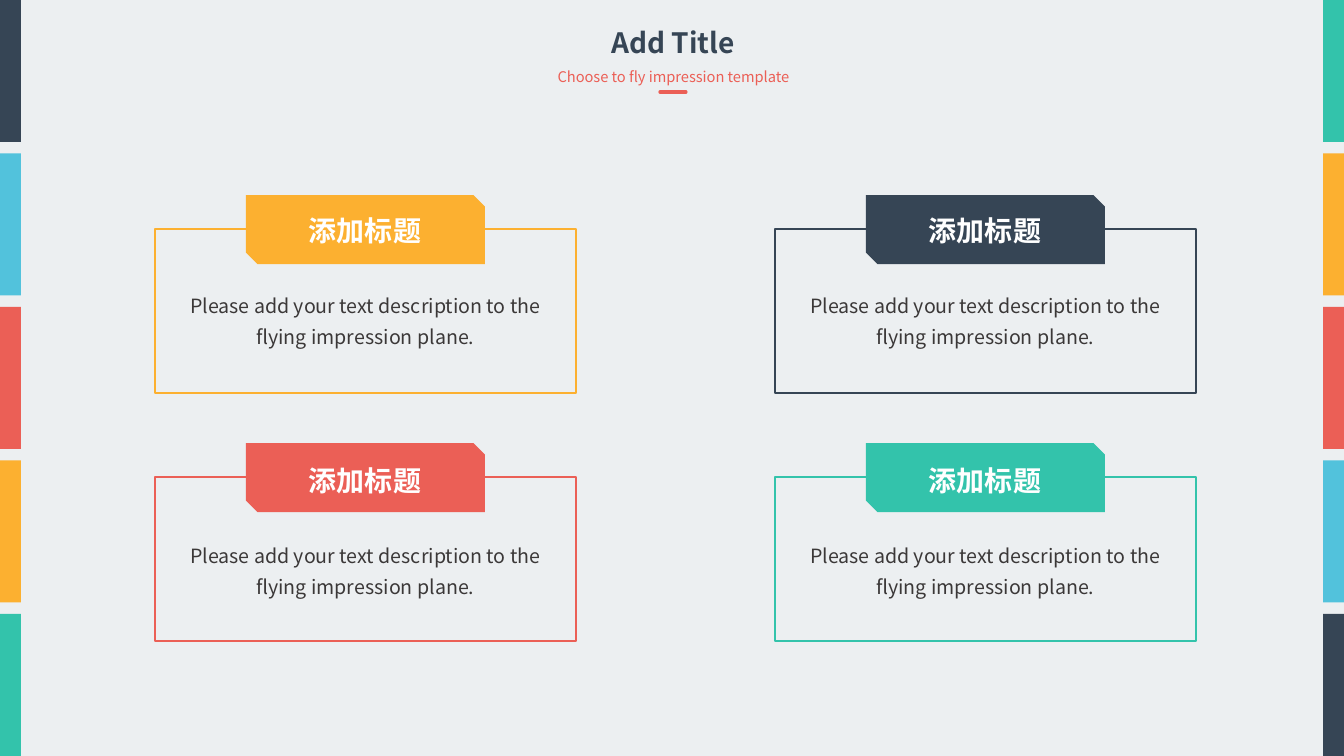
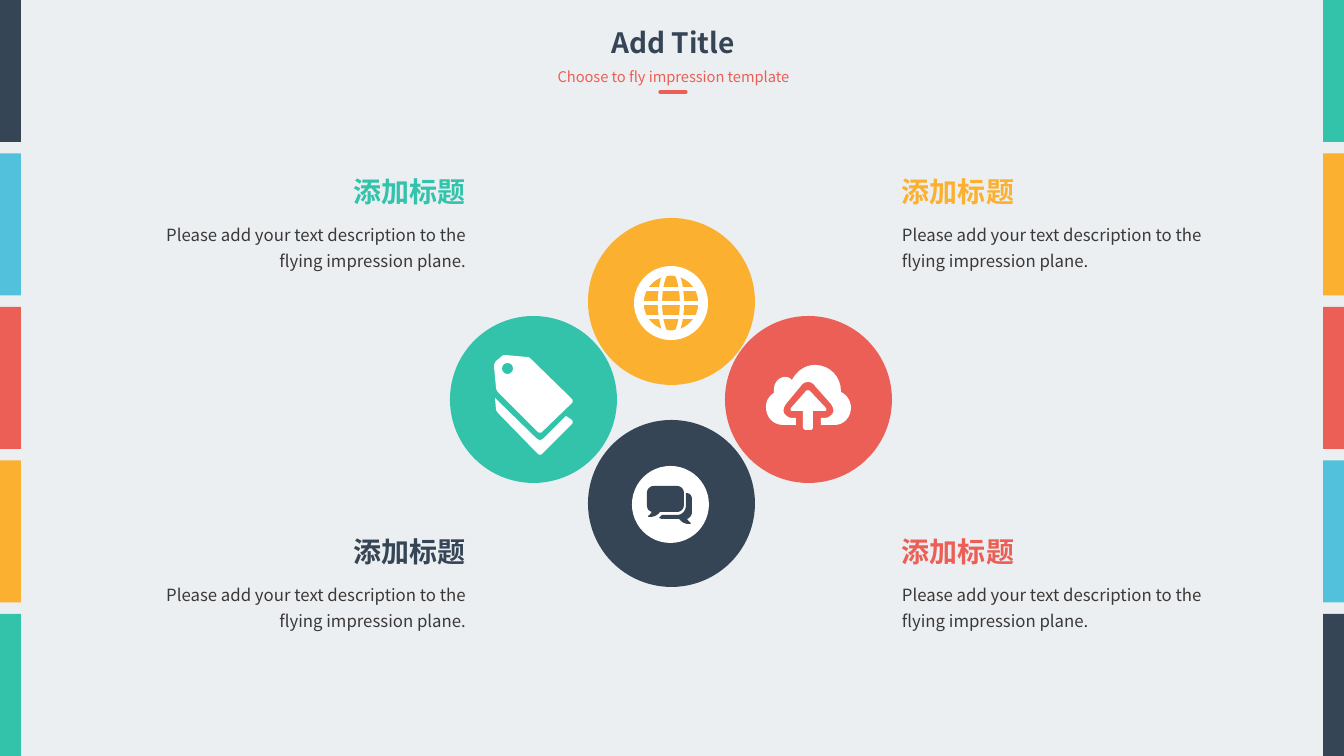
from lxml import etree
from pptx import Presentation
from pptx import util as u
from pptx.dml.color import RGBColor
from pptx.enum import shapes, text
from pptx.oxml.ns import qn

SCALE = 914400 / 100.8
WIDTH, HEIGHT = 1344, 756
FONT = "Noto Sans CJK SC"
NAVY, CYAN, RED, AMBER, TEAL = "364555", "52C2DC", "EB5F56", "FCB030", "33C3AB"
WHITE, INK, PAPER = "FFFFFF", "3B3838", "ECEFF1"
BANDS = [NAVY, CYAN, RED, AMBER, TEAL]
BAND_WIDTH, BAND_HEIGHT = 21, 142

TITLE = "Add Title"
SUBTITLE = "Choose to fly impression template"
HEADING = "添加标题"
BODY = "Please add your text description to the flying impression plane."

CARD_COLUMNS = [155, 775]
CARD_ROWS = [(229, 209), (477, 459)]
CARD_COLORS = [[AMBER, NAVY], [RED, TEAL]]

CIRCLE_SIZE = 167
CIRCLES = [(588, 218, AMBER), (450, 316, TEAL), (588, 420, NAVY), (725, 316, RED)]
LEFT, CENTER, RIGHT = text.PP_ALIGN.LEFT, text.PP_ALIGN.CENTER, text.PP_ALIGN.RIGHT
NOTE_COLUMNS = [(153, 343, RIGHT), (892, 892, LEFT)]
NOTE_ROWS = [170, 530]
NOTE_COLORS = [[TEAL, AMBER], [NAVY, RED]]

TAG_FRONT = [
    (531, 359), (530, 358, 529, 357, 527, 357), (505, 355),
    (503, 355, 502, 356, 501, 357), (496, 361), (495, 363, 494, 364, 494, 366),
    (496, 387), (496, 389, 497, 391, 498, 392), (538, 432),
    (539, 433, 541, 433, 542, 432), (572, 403), (573, 402, 573, 400, 572, 399),
]
TAG_BACK = [
    (540, 440), (538, 440, 536, 438, 534, 436), (495, 398), (496, 409),
    (496, 410, 497, 412, 498, 413), (538, 454), (539, 455, 541, 455, 542, 454),
    (572, 424), (573, 423, 573, 422, 572, 420), (566, 416), (546, 436),
    (544, 438, 542, 440, 540, 440),
]
BUBBLE_FRONT = [
    (648, 516), (650, 515, 651, 513, 652, 512), (649, 511, 647, 509, 647, 505),
    (647, 493), (647, 489, 650, 486, 654, 486), (677, 486),
    (681, 486, 684, 489, 684, 493), (684, 505), (684, 509, 681, 512, 677, 512),
    (660, 512), (657, 516, 653, 517, 650, 517), (649, 517, 648, 517, 648, 516),
]
BUBBLE_BACK = [
    (692, 512), (692, 515, 690, 518, 687, 519), (688, 520, 689, 522, 691, 523),
    (692, 524, 685, 526, 679, 519), (663, 519), (661, 519, 660, 518, 659, 518),
    (660, 517, 661, 516, 662, 515), (677, 515), (682, 515, 686, 511, 686, 505),
    (686, 493), (690, 493, 692, 496, 692, 499),
]
CLOUD = [
    (841, 391), (841, 377, 830, 365, 815, 365), (805, 365, 797, 371, 792, 380),
    (790, 378, 788, 377, 785, 377), (779, 377, 774, 383, 774, 389),
    (774, 390, 774, 392, 774, 393), (769, 396, 766, 401, 766, 407),
    (766, 417, 773, 425, 783, 425), (796, 425), (796, 418), (792, 418),
    (789, 418, 786, 416, 784, 413), (783, 410, 784, 407, 786, 404), (801, 386),
    (802, 384, 805, 382, 808, 382), (811, 382, 814, 384, 815, 386), (831, 404),
    (833, 407, 834, 410, 833, 413), (831, 416, 828, 418, 825, 418), (821, 418),
    (821, 425), (835, 425), (844, 425, 851, 417, 851, 408),
    (851, 401, 847, 395, 841, 392),
]
UPLOAD_ARROW = [
    (826, 408), (810, 391), (809, 390, 807, 390, 806, 391), (791, 408),
    (790, 410, 791, 411, 792, 411), (803, 411), (803, 427),
    (803, 429, 805, 430, 806, 430), (810, 430), (812, 430, 813, 429, 813, 427),
    (813, 411), (825, 411), (826, 411, 827, 410, 826, 408),
]


def px(value):
    return u.Emu(round(value * SCALE))


def color(value):
    return RGBColor.from_string(value)


def paint(shape, fill=None, line=None, weight=1.25):
    shape.shadow.inherit = False
    if fill:
        shape.fill.solid()
        shape.fill.fore_color.rgb = color(fill)
    else:
        shape.fill.background()
    if line:
        shape.line.color.rgb = color(line)
        shape.line.width = u.Pt(weight)
    else:
        shape.line.fill.background()
    return shape


def add_preset(slide, kind, left, top, width, height, **style):
    shape = slide.shapes.add_shape(kind, px(left), px(top), px(width), px(height))
    return paint(shape, **style)


def add_line(slide, left, right, y, line_color, weight, cap="flat"):
    connector = slide.shapes.add_connector(
        shapes.MSO_CONNECTOR.STRAIGHT, px(left), px(y), px(right), px(y))
    connector.line.color.rgb = color(line_color)
    connector.line.width = u.Pt(weight)
    properties = connector._element.spPr
    properties.find(qn("a:ln")).set("cap", cap)
    etree.SubElement(properties, qn("a:effectLst"))


def add_text(slide, words, left, top, width, height, size, font_color,
             align=LEFT, bold=False, wrap=True, spacing=None):
    box = slide.shapes.add_textbox(px(left), px(top), px(width), px(height))
    frame = box.text_frame
    frame.word_wrap = wrap
    frame.auto_size = text.MSO_AUTO_SIZE.SHAPE_TO_FIT_TEXT
    paragraph = frame.paragraphs[0]
    paragraph.alignment = align
    if spacing:
        paragraph.line_spacing = spacing
    run = paragraph.add_run()
    run.text = words
    run.font.size = u.Pt(size)
    run.font.bold = bold
    run.font.color.rgb = color(font_color)
    run.font.name = FONT
    etree.SubElement(run._r.get_or_add_rPr(), qn("a:ea")).set("typeface", FONT)


def flatten(outline, steps=8):
    points = [outline[0]]
    for segment in outline[1:]:
        if len(segment) == 2:
            points.append(segment)
            continue
        start = points[-1]
        for step in range(1, steps + 1):
            t = step / steps
            s = 1 - t
            points.append(tuple(
                s**3 * start[i] + 3 * s * s * t * segment[i]
                + 3 * s * t * t * segment[i + 2] + t**3 * segment[i + 4]
                for i in (0, 1)))
    return [(px(x), px(y)) for x, y in points]


def add_outline(slide, outline, fill):
    points = flatten(outline)
    builder = slide.shapes.build_freeform(*points[0])
    builder.add_line_segments(points[1:], close=True)
    paint(builder.convert_to_shape(), fill=fill)


def add_base_slide(presentation):
    slide = presentation.slides.add_slide(presentation.slide_layouts[6])
    slide.background.fill.solid()
    slide.background.fill.fore_color.rgb = color(PAPER)
    add_text(slide, TITLE, 598, 21, 150, 44, 20, NAVY, CENTER, bold=True, wrap=False)
    add_text(slide, SUBTITLE, 497, 58, 353, 31, 10.5, RED, CENTER, spacing=1.3)
    add_line(slide, 660, 686, 92, RED, 2.25, cap="rnd")
    pitch = (HEIGHT - BAND_HEIGHT) / (len(BANDS) - 1)
    for left, colors in ((0, BANDS), (WIDTH - BAND_WIDTH, BANDS[::-1])):
        for index, band_color in enumerate(colors):
            add_preset(slide, shapes.MSO_SHAPE.RECTANGLE, left, index * pitch,
                       BAND_WIDTH, BAND_HEIGHT, fill=band_color)
    return slide


def add_cards_slide(presentation):
    slide = add_base_slide(presentation)
    for (top, text_top), colors in zip(CARD_ROWS, CARD_COLORS):
        for left, card_color in zip(CARD_COLUMNS, colors):
            add_preset(slide, shapes.MSO_SHAPE.RECTANGLE, left, top, 421, 164,
                       line=card_color)
            add_preset(slide, shapes.MSO_SHAPE.SNIP_2_DIAG_RECTANGLE, left + 91,
                       top - 34, 239, 69, fill=card_color)
            add_text(slide, HEADING, left + 116, text_top, 188, 44, 20, WHITE,
                     CENTER, bold=True)
            add_text(slide, BODY, left + 8, text_top + 73, 405, 69, 14, INK,
                     CENTER, spacing=1.3)


def add_globe(slide):
    ring = add_preset(slide, shapes.MSO_SHAPE.DONUT, 634, 266, 74, 74, fill=WHITE)
    ring.adjustments[0] = 0.13
    add_preset(slide, shapes.MSO_SHAPE.OVAL, 660, 269, 22, 68, line=WHITE, weight=3)
    for y in (289, 303, 317):
        add_line(slide, 641, 701, y, WHITE, 3)


def add_circles_slide(presentation):
    slide = add_base_slide(presentation)
    oval = shapes.MSO_SHAPE.OVAL
    for left, top, circle_color in CIRCLES:
        add_preset(slide, oval, left, top, CIRCLE_SIZE, CIRCLE_SIZE, fill=circle_color)
    add_globe(slide)
    for outline in (TAG_BACK, TAG_FRONT, CLOUD, UPLOAD_ARROW):
        add_outline(slide, outline, WHITE)
    add_preset(slide, oval, 502, 363, 11, 11, fill=TEAL)
    add_preset(slide, oval, 632, 466, 77, 77, fill=WHITE)
    for outline in (BUBBLE_FRONT, BUBBLE_BACK):
        add_outline(slide, outline, NAVY)
    for top, colors in zip(NOTE_ROWS, NOTE_COLORS):
        for (left, heading_left, align), note_color in zip(NOTE_COLUMNS, colors):
            add_text(slide, HEADING, heading_left, top, 133, 44, 20, note_color,
                     align, bold=True, wrap=False)
            add_text(slide, BODY, left, top + 44, 323, 60, 12, INK, align, spacing=1.3)


def main():
    presentation = Presentation()
    presentation.slide_width = px(WIDTH)
    presentation.slide_height = px(HEIGHT)
    add_cards_slide(presentation)
    add_circles_slide(presentation)
    presentation.save("out.pptx")


if __name__ == "__main__":
    main()
